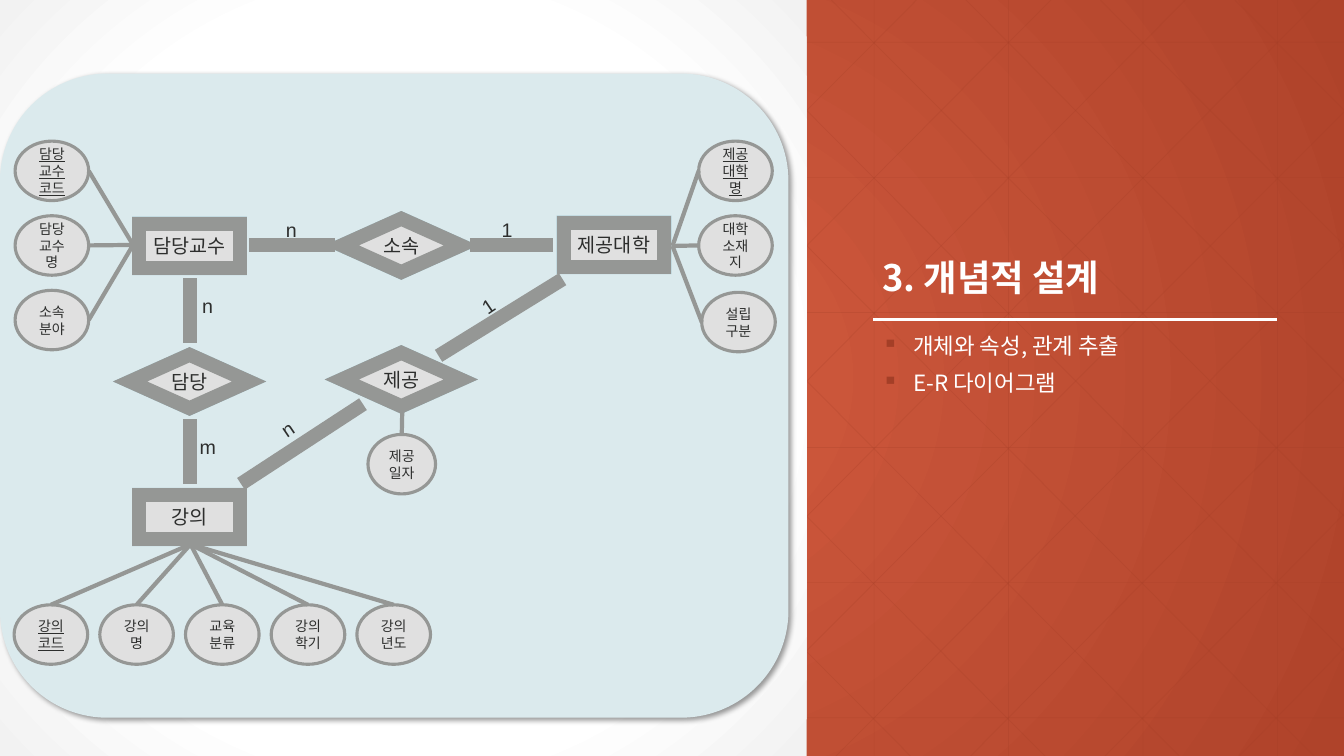
from dataclasses import dataclass
from typing import Any, Optional

from lxml.etree import SubElement
from pptx import Presentation
from pptx.dml.color import RGBColor
from pptx.enum.shapes import MSO_CONNECTOR, MSO_SHAPE
from pptx.enum.text import MSO_ANCHOR, PP_ALIGN
from pptx.oxml.ns import qn
from pptx.util import Inches, Pt

Point = tuple[float, float]
Box = tuple[float, float, float, float]


@dataclass(frozen=True)
class Theme:
    font: str = "Noto Sans CJK KR"
    latin: str = "Arial"
    ink: str = "2D2E2D"
    white: str = "FFFFFF"
    edge: str = "959795"
    node: str = "E0E0E0"
    card: str = "DBEAED"
    rust: str = "A43F27"
    glow: str = "4F91A1"
    title: float = 26
    body: float = 16
    name: float = 14
    leaf: float = 10


@dataclass(frozen=True)
class Shade:
    color: str
    alpha: int
    blur: int = 0
    dist: int = 0
    angle: int = 90


@dataclass(frozen=True)
class Node:
    text: str
    x: float
    y: float
    kind: Any = MSO_SHAPE.RECTANGLE
    w: float = 1
    h: float = 0.44


@dataclass(frozen=True)
class Link:
    start: Point
    end: Point
    mark: str
    spot: Point
    turn: float = 0


@dataclass(frozen=True)
class Leaf:
    text: str
    x: float
    y: float
    key: bool = False
    w: float = 0.73


@dataclass(frozen=True)
class Fan:
    """Leaves joined to one hub; side is the joint as fractions of a leaf."""
    hub: Point
    side: Point
    leaves: list[Leaf]


T = Theme()
WIDE, HIGH, SPLIT = 13.33, 7.5, 8
STEP, TALL, LEAN = 4 / 3, 1.34, 7.45
LEAF_H = 0.59
GEM = (MSO_SHAPE.DIAMOND, 1.18, 0.53)

NODES = [
    Node("담당교수", 1.38, 2.22),
    Node("소속", 3.39, 2.17, *GEM),
    Node("제공대학", 5.59, 2.21),
    Node("강의", 1.38, 4.91),
    Node("담당", 1.29, 3.52, *GEM),
    Node("제공", 3.39, 3.5, *GEM),
]
LINKS = [
    Link((2.47, 2.43), (3.32, 2.43), "n", (2.68, 2.11)),
    Link((4.66, 2.43), (5.48, 2.43), "1", (4.82, 2.11)),
    Link((1.88, 2.76), (1.88, 3.4), "n", (1.85, 2.86)),
    Link((1.88, 4.16), (1.88, 4.8), "m", (1.85, 4.26)),
    Link((3.6, 4.01), (2.39, 4.8), "n", (2.64, 4.09), 326),
    Link((5.58, 2.77), (4.35, 3.53), "1", (4.63, 2.87), 326),
]
COURSE = ["강의코드", "강의명", "교육분류", "강의학기", "강의년도"]
FANS = [
    Fan((1.32, 2.43), (1, 0.5), [
        Leaf(text, 0.15, 1.4 + 0.74 * i, i == 0)
        for i, text in enumerate(["담당교수코드", "담당교수명", "소속분야"])]),
    Fan((1.89, 5.4), (0.5, 0), [
        Leaf(text, 0.14 + 0.85 * i, 6, i == 0) for i, text in enumerate(COURSE)]),
    Fan((6.67, 2.44), (0, 0.5), [
        Leaf("제공대학명", 6.93, 1.4, True),
        Leaf("대학소재지", 6.93, 2.14),
        Leaf("설립 구분", 6.96, 2.9)]),
    Fan((3.99, 4.07), (0.5, 0), [Leaf("제공일자", 3.65, 4.31, w=0.67)]),
]


def rgb(code: str) -> RGBColor:
    return RGBColor.from_string(code)


def tint(parent: Any, color: str, alpha: int = 100) -> None:
    mark = SubElement(parent, qn("a:srgbClr"), val=color)
    if alpha < 100:
        SubElement(mark, qn("a:alpha"), val=str(alpha * 1000))


def glow(owner: Any, fill: Any, stops: list[tuple[int, str]]) -> None:
    """Fill with a round gradient that spreads from the centre."""
    fill.gradient()
    grad = next(owner.element.iter(qn("a:gradFill")))
    for child in list(grad):
        grad.remove(child)
    group = SubElement(grad, qn("a:gsLst"))
    for at, color in stops:
        tint(SubElement(group, qn("a:gs"), pos=str(at * 1000)), color)
    ring = SubElement(grad, qn("a:path"), path="circle")
    SubElement(ring, qn("a:fillToRect"), **dict.fromkeys("ltrb", "50000"))


def line(slide: Any, start: Point, end: Point, color: str, width: float,
         alpha: int = 100) -> None:
    ends = [Inches(v) for v in (*start, *end)]
    wire = slide.shapes.add_connector(MSO_CONNECTOR.STRAIGHT, *ends)
    wire.line.color.rgb = rgb(color)
    wire.line.width = Pt(width)
    if alpha < 100:
        mark = next(wire.element.iter(qn("a:srgbClr")))
        SubElement(mark, qn("a:alpha"), val=str(alpha * 1000))
    SubElement(wire.element.spPr, qn("a:effectLst"))


def shape(slide: Any, kind: Any, box: Box, fill: Optional[str] = None,
          width: float = 0, shade: Optional[Shade] = None) -> Any:
    item = slide.shapes.add_shape(kind, *[Inches(v) for v in box])
    if fill:
        item.fill.solid()
        item.fill.fore_color.rgb = rgb(fill)
    if width:
        item.line.color.rgb = rgb(T.edge)
        item.line.width = Pt(width)
        SubElement(item.element.spPr.find(qn("a:ln")), qn("a:miter"), lim="800000")
    else:
        item.line.fill.background()
    item.shadow.inherit = False
    if shade:
        cast = SubElement(
            item.element.spPr.find(qn("a:effectLst")), qn("a:outerShdw"),
            blurRad=str(Pt(shade.blur)), dist=str(Pt(shade.dist)),
            dir=str(shade.angle * 60000), algn="ctr", rotWithShape="0")
        tint(cast, shade.color, shade.alpha)
    return item


def write(para: Any, text: str, size: float, color: str = T.ink,
          font: str = T.font, bold: bool = False, under: bool = False) -> None:
    run = para.add_run()
    run.text = text
    face = run.font
    face.size, face.name = Pt(size), font
    face.color.rgb = rgb(color)
    if bold:
        face.bold = True
    if under:
        face.underline = True
    SubElement(face.latin if hasattr(face, "latin") else run._r.rPr,
               qn("a:ea"), typeface=font)


def label(item: Any, text: str, size: float, wrap: bool = True, **look: Any) -> None:
    frame = item.text_frame
    frame.word_wrap = wrap
    frame.vertical_anchor = MSO_ANCHOR.MIDDLE
    para = frame.paragraphs[0]
    para.alignment = PP_ALIGN.CENTER
    write(para, text, size, **look)


def frame(slide: Any, box: Box) -> Any:
    item = slide.shapes.add_textbox(*[Inches(v) for v in box])
    item.text_frame.word_wrap = True
    return item


def mesh(slide: Any) -> None:
    """Draw the faint lattice that shows on the right of the split."""
    def thin(start: Point, end: Point) -> None:
        line(slide, start, end, T.rust, 0.5, 25)

    for i in range(4):
        x = 8.67 + STEP * i
        thin((x, 0), (x, HIGH))
        x = 13.09 - STEP * i
        thin((x, 0), (x - LEAN, HIGH))
    for i in range(6):
        thin((0, 0.42 + TALL * i), (WIDE, 0.42 + TALL * i))
    for i in range(9):
        x = 1.58 + STEP * i
        run = min(LEAN, WIDE - x)
        thin((x, 0), (x + run, run * HIGH / LEAN))
    for i in range(5):
        thin((6.96 + STEP * i, HIGH), (WIDE, 1.11 + 1.33 * i))


def words(slide: Any) -> None:
    line(slide, (8.66, 3.17), (12.67, 3.17), T.white, 1.5)
    head = frame(slide, (8.65, 0.62, 4, 2.4)).text_frame
    head.vertical_anchor = MSO_ANCHOR.BOTTOM
    head.paragraphs[0].line_spacing = 0.9
    write(head.paragraphs[0], "3. 개념적 설계", T.title, T.white, bold=True)
    body = frame(slide, (8.65, 3.28, 4, 2.5)).text_frame
    for i, text in enumerate(["개체와 속성, 관계 추출", "E-R 다이어그램"]):
        para = body.add_paragraph() if i else body.paragraphs[0]
        prop = para._p.get_or_add_pPr()
        prop.set("marL", str(Inches(0.31)))
        prop.set("indent", str(-Inches(0.31)))
        tint(SubElement(prop, qn("a:buClr")), T.rust)
        SubElement(prop, qn("a:buChar"), char="▪")
        para.line_spacing = 0.9
        if i:
            para.space_before = Pt(9)
        write(para, text, T.body, T.white)


def chart(slide: Any) -> None:
    shape(slide, MSO_SHAPE.ROUNDED_RECTANGLE, (0, 0.73, 7.82, 6.39), T.card,
          shade=Shade("000000", 40, 4, 3, 45))
    for n in NODES:
        item = shape(slide, n.kind, (n.x, n.y, n.w, n.h), T.node, 10, Shade(T.glow, 43))
        label(item, n.text, T.name, wrap=False)
    for link in LINKS:
        line(slide, link.start, link.end, T.edge, 10)
        note = frame(slide, (*link.spot, 0.42, 0.34))
        note.rotation = link.turn
        label(note, link.mark, T.name, font=T.latin)
    for fan in FANS:
        for leaf in fan.leaves:
            item = shape(slide, MSO_SHAPE.OVAL, (leaf.x, leaf.y, leaf.w, LEAF_H),
                         T.node, 2.25)
            label(item, leaf.text, T.leaf, under=leaf.key)
        for leaf in fan.leaves:
            joint = (leaf.x + leaf.w * fan.side[0], leaf.y + LEAF_H * fan.side[1])
            line(slide, joint, fan.hub, T.edge, 3)


def main() -> None:
    deck = Presentation()
    deck.slide_width, deck.slide_height = Inches(WIDE), Inches(HIGH)
    slide = deck.slides.add_slide(deck.slide_layouts[6])
    glow(slide, slide.background.fill, [(0, "D15A3E"), (100, "AF432A")])
    mesh(slide)
    panel = shape(slide, MSO_SHAPE.RECTANGLE, (0, 0, SPLIT, HIGH))
    glow(panel, panel.fill, [(0, T.white), (69, T.white), (100, "F2F2F2")])
    words(slide)
    chart(slide)
    deck.save("out.pptx")


if __name__ == "__main__":
    main()
